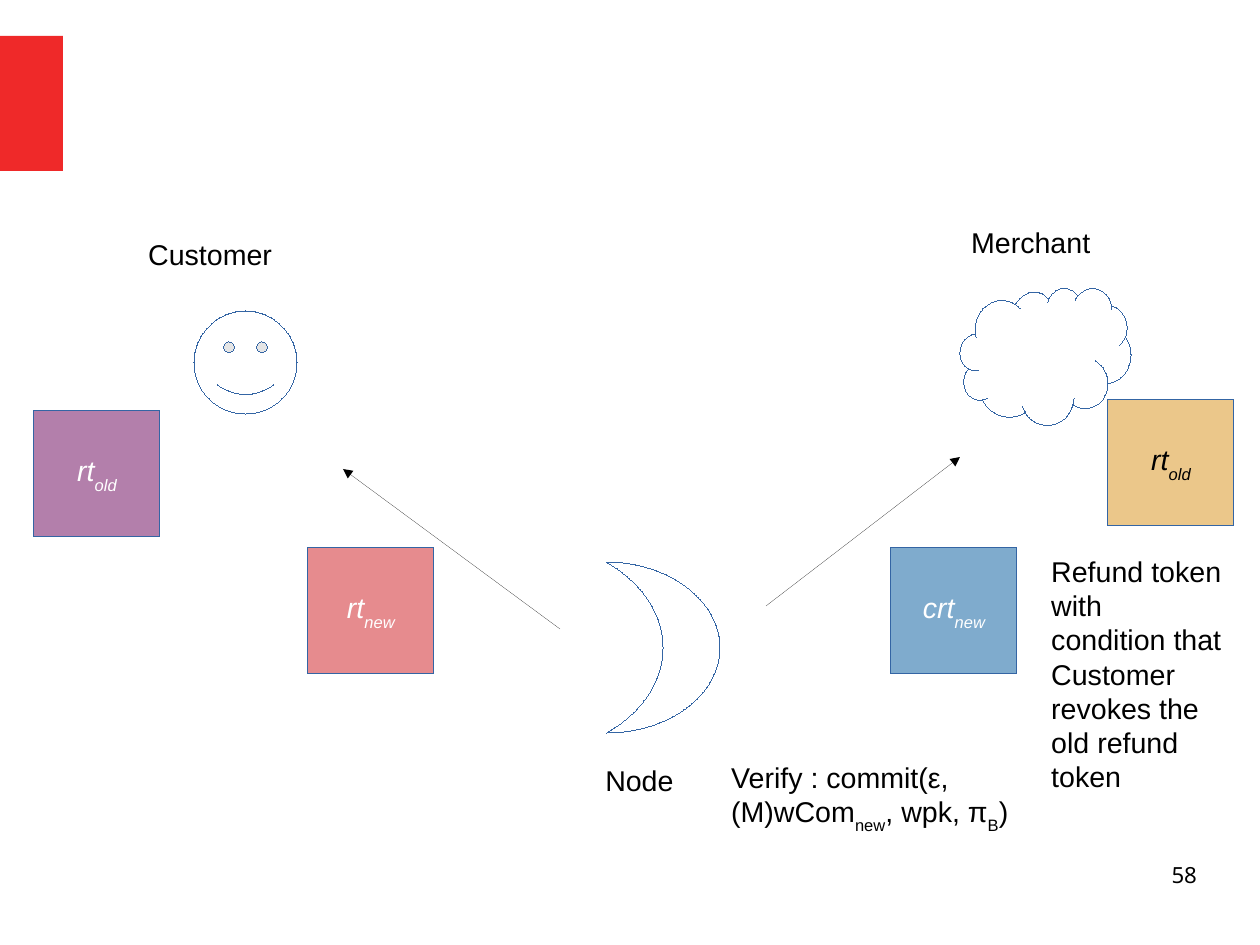
from lxml import etree
from pptx import Presentation
from pptx.dml.color import RGBColor
from pptx.enum.shapes import MSO_CONNECTOR, MSO_SHAPE
from pptx.enum.text import MSO_ANCHOR, MSO_AUTO_SIZE, PP_ALIGN
from pptx.oxml.ns import qn
from pptx.util import Pt

PX = 8000  # 1260 px make 28 cm
RECT, SMILEY = MSO_SHAPE.RECTANGLE, MSO_SHAPE.SMILEY_FACE
CLOUD, MOON = MSO_SHAPE.CLOUD, MSO_SHAPE.MOON
STRAIGHT = MSO_CONNECTOR.STRAIGHT
CENTER, RIGHT = PP_ALIGN.CENTER, PP_ALIGN.RIGHT
MIDDLE = MSO_ANCHOR.MIDDLE
GROW = MSO_AUTO_SIZE.SHAPE_TO_FIT_TEXT
TOKEN = 126

prs = Presentation()
prs.slide_width, prs.slide_height = 1260 * PX, 945 * PX
s = prs.slides.add_slide(prs.slide_layouts[6])


def paint(target, color):
    """Apply a hex colour to a fill."""
    target.solid()
    target.fore_color.rgb = RGBColor.from_string(color)


def write(p, parts, color="000000", **extra):
    """Add runs; every second part is a subscript."""
    for i, text in enumerate(parts):
        r = p.add_run()
        r.text = text
        fmt = {"name": "Arial", "size": Pt(18), **extra}
        for key, value in fmt.items():
            setattr(r.font, key, value)
        paint(r.font.fill, color)
        if i % 2:
            r._r.get_or_add_rPr().set("baseline", "-33000")


# Red accent at the left edge
sp = s.shapes.add_shape(RECT, 0, 36 * PX, 63 * PX, 135 * PX)
sp.shadow.inherit = False
paint(sp.fill, "EF2929")
sp.line.fill.background()

# Parties and tokens, all half transparent with a hairline
shapes = [
    (SMILEY, 194, 311, 103, 103, "FFFFFF", [], "000000"),
    (CLOUD, 960, 288, 171, 137, "FFFFFF", [], "000000"),
    (MOON, 606, 562, 114, 171, "FFFFFF", [], "000000"),
    (RECT, 308, 548, TOKEN, TOKEN, "CE181E", ["rt", "new"], "FFFFFF"),
    (RECT, 891, 548, TOKEN, TOKEN, "00599D", ["crt", "new"], "FFFFFF"),
    (RECT, 34, 411, TOKEN, TOKEN, "680059", ["rt", "old"], "FFFFFF"),
    (RECT, 1108, 400, TOKEN, TOKEN, "D99116", ["rt", "old"], "000000"),
]
for kind, x, y, w, h, fill, parts, color in shapes:
    sp = s.shapes.add_shape(kind, x * PX, y * PX, w * PX, h * PX)
    sp.shadow.inherit = False
    paint(sp.fill, fill)
    rgb = sp._element.spPr.find(qn("a:solidFill")).find(qn("a:srgbClr"))
    etree.SubElement(rgb, qn("a:alpha"), val="50000")
    paint(sp.line.fill, "3465A4")
    sp._element.spPr.find(qn("a:ln")).set("w", "0")
    if kind == MOON:
        sp.rotation = 180
    if parts:
        tf = sp.text_frame
        tf.word_wrap = False
        tf.vertical_anchor = MIDDLE
        p = tf.paragraphs[0]
        p.alignment = CENTER
        write(p, parts, color, italic=True)

# Arrows from the node to both parties
for ends in [(560, 629, 343, 469), (766, 606, 960, 457)]:
    cx = s.shapes.add_connector(STRAIGHT, *[v * PX for v in ends])
    paint(cx.line.fill, "000000")
    ln = cx._element.spPr.find(qn("a:ln"))
    ln.set("w", "0")
    etree.SubElement(ln, qn("a:tailEnd"), type="triangle")
    etree.SubElement(cx._element.spPr, qn("a:effectLst"))

# Labels
labels = [
    (137, 231, 206, 43, ["Customer"]),
    (594, 757, 240, 43, ["Node"]),
    (960, 219, 217, 43, ["Merchant"]),
    (720, 754, 377, 82, ["Verify : commit(ε, (M)wCom", "new", ", wpk, π", "B", ")"]),
    (1040, 548, 194, 235, ["Refund token with condition that Customer revokes the old refund token"]),
]
for x, y, w, h, parts in labels:
    tf = s.shapes.add_textbox(x * PX, y * PX, w * PX, h * PX).text_frame
    tf.word_wrap = True
    tf.auto_size = GROW
    write(tf.paragraphs[0], parts)

# Page number
tf = s.shapes.add_textbox(903 * PX, 861 * PX, 294 * PX, 65 * PX).text_frame
tf.word_wrap = True
for side in ("left", "top", "right", "bottom"):
    setattr(tf, f"margin_{side}", 0)
p = tf.paragraphs[0]
p.alignment = RIGHT
write(p, ["58"], name="Noto Sans", size=Pt(14))

prs.save("out.pptx")
